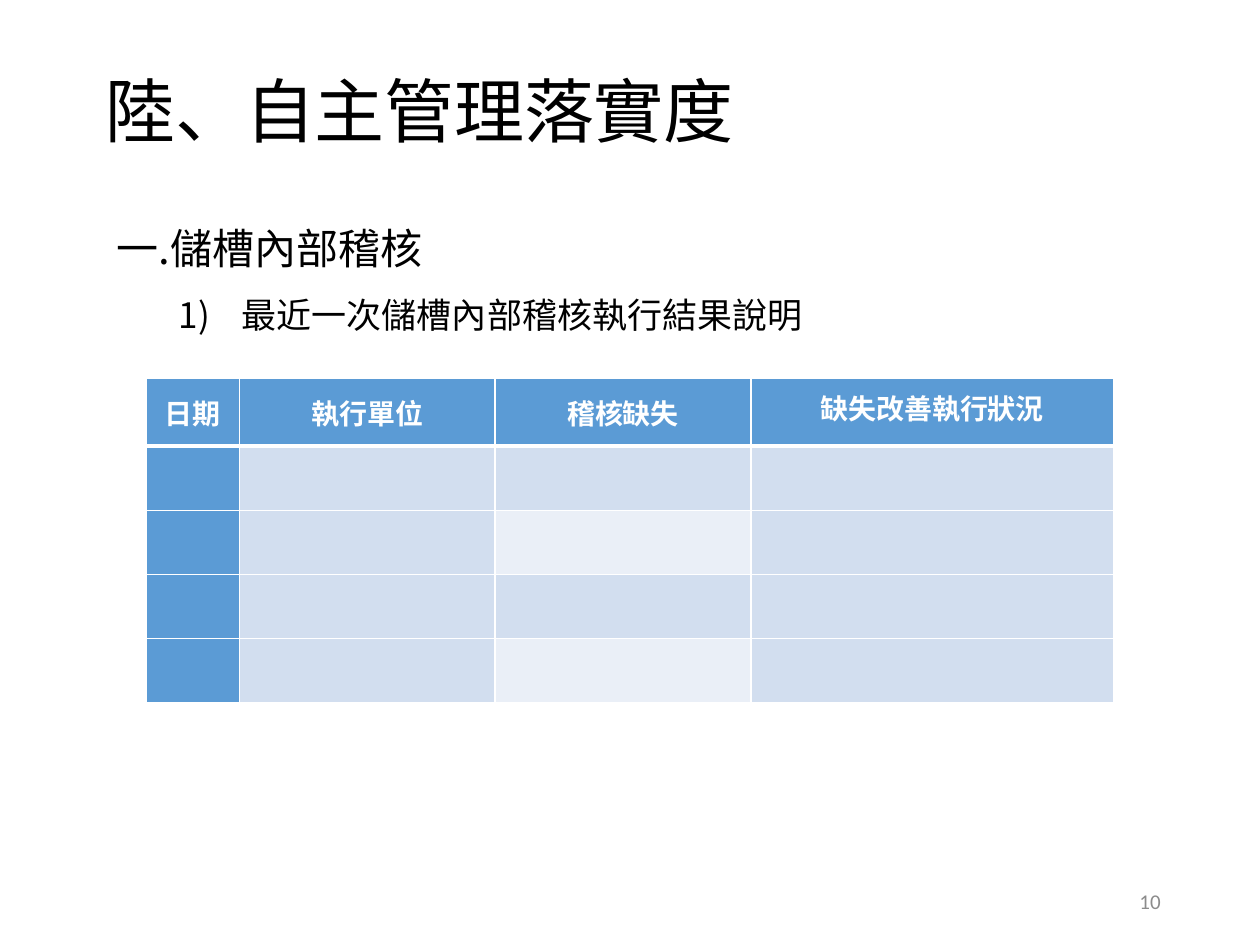
from lxml import etree
from pptx import Presentation
from pptx.dml.color import RGBColor
from pptx.enum.text import MSO_ANCHOR, MSO_AUTO_SIZE, PP_ALIGN
from pptx.oxml.ns import qn
from pptx.util import Inches, Pt

BLACK = RGBColor(0x00, 0x00, 0x00)
WHITE = RGBColor(0xFF, 0xFF, 0xFF)
GREY = RGBColor(0x8C, 0x8C, 0x8C)
BLUE = RGBColor(0x5B, 0x9B, 0xD5)
PALE = RGBColor(0xD2, 0xDE, 0xEF)
LIGHT = RGBColor(0xEA, 0xEF, 0xF7)
LEFT, CENTER, RIGHT = PP_ALIGN.LEFT, PP_ALIGN.CENTER, PP_ALIGN.RIGHT
MIDDLE = MSO_ANCHOR.MIDDLE
FIT = MSO_AUTO_SIZE.SHAPE_TO_FIT_TEXT
SANS = "Noto Sans CJK SC"

HEADS = ["日期", "執行單位", "稽核缺失", "缺失改善執行狀況"]
COLS = [0.74, 2.03, 2.03, 2.88]
ROWS = [0.54] + [0.51] * 4


def write(para, text, size=16, font=SANS, color=BLACK, bold=False,
          align=LEFT, line=None):
    para.alignment = align
    if line:
        para.line_spacing = line
    run = para.add_run()
    run.text = text
    face = run.font
    face.size, face.name, face.bold = Pt(size), font, bold
    face.color.rgb = color
    props = run._r.get_or_add_rPr()
    etree.SubElement(props, qn("a:ea")).set("typeface", font)
    return run


def add_frame(slide, box, inset=None, fit=None):
    frame = slide.shapes.add_textbox(*map(Inches, box)).text_frame
    frame.word_wrap = True
    frame.vertical_anchor = MIDDLE
    if fit is not None:
        frame.auto_size = fit
    if inset is not None:
        frame.margin_left = frame.margin_right = Inches(inset)
        frame.margin_top = frame.margin_bottom = Inches(inset)
    return frame


def add_title(slide, box):
    para = add_frame(slide, box, inset=0, fit=FIT).paragraphs[0]
    run = write(para, "陸、自主管理落實度", size=40, line=0.9)
    run._r.get_or_add_rPr().set("spc", "-10")
    para._p.get_or_add_pPr().set("marL", str(Inches(0.01)))


def add_body(slide, box):
    frame = add_frame(slide, box, fit=FIT)
    write(frame.paragraphs[0], "一.儲槽內部稽核", size=24, line=1.5)
    item = frame.add_paragraph()
    write(item, "最近一次儲槽內部稽核執行結果說明", size=20, line=1.5)
    props = item._p.get_or_add_pPr()
    props.set("marL", str(Inches(0.99)))
    props.set("indent", str(Inches(-0.5)))
    etree.SubElement(props, qn("a:buFont")).set("typeface", SANS)
    etree.SubElement(props, qn("a:buAutoNum")).set("type", "arabicParenR")


def add_edges(cell, **widths):
    """Draw white cell borders; widths in points by side: L, R, T, B."""
    props = cell._tc.get_or_add_tcPr()
    for side, width in widths.items():
        edge = etree.SubElement(props, qn(f"a:ln{side}"), w=str(Pt(width)))
        fill = etree.SubElement(edge, qn("a:solidFill"))
        etree.SubElement(fill, qn("a:srgbClr")).set("val", str(WHITE))


def pick_fill(row, col):
    if row == 0 or col == 0:
        return BLUE
    return LIGHT if col == 2 and row % 2 == 0 else PALE


def add_grid(slide, box):
    table = slide.shapes.add_table(len(ROWS), len(COLS),
                                   *map(Inches, box)).table
    for col, width in zip(table.columns, COLS):
        col.width = Inches(width)
    for r, height in enumerate(ROWS):
        table.rows[r].height = Inches(height)
        for c in range(len(COLS)):
            cell = table.cell(r, c)
            add_edges(cell, L=1, R=1, T=3 if r == 1 else 1,
                      B=3 if r == 0 else 1)
            cell.fill.solid()
            cell.fill.fore_color.rgb = pick_fill(r, c)
    for c, text in enumerate(HEADS):
        cell = table.cell(0, c)
        cell.vertical_anchor = MIDDLE
        cell.margin_left = cell.margin_right = Inches(0.07)
        cell.margin_top = cell.margin_bottom = 0
        write(cell.text_frame.paragraphs[0], text, color=WHITE, bold=True,
              align=CENTER, line=Pt(18) if c == len(HEADS) - 1 else None)


def add_number(slide, box):
    write(add_frame(slide, box).paragraphs[0], "10", size=12,
          font="Calibri", color=GREY, align=RIGHT)


def main():
    deck = Presentation()
    deck.slide_width, deck.slide_height = Inches(10), Inches(7.5)
    slide = deck.slides.add_slide(deck.slide_layouts[6])
    add_number(slide, (7.06, 6.95, 2.25, 0.4))
    add_title(slide, (0.83, 0.61, 7.63, 0.61))
    add_grid(slide, (1.16, 3, sum(COLS), sum(ROWS)))
    add_body(slide, (0.83, 1.54, 7.83, 1.15))
    deck.save("out.pptx")


if __name__ == "__main__":
    main()
